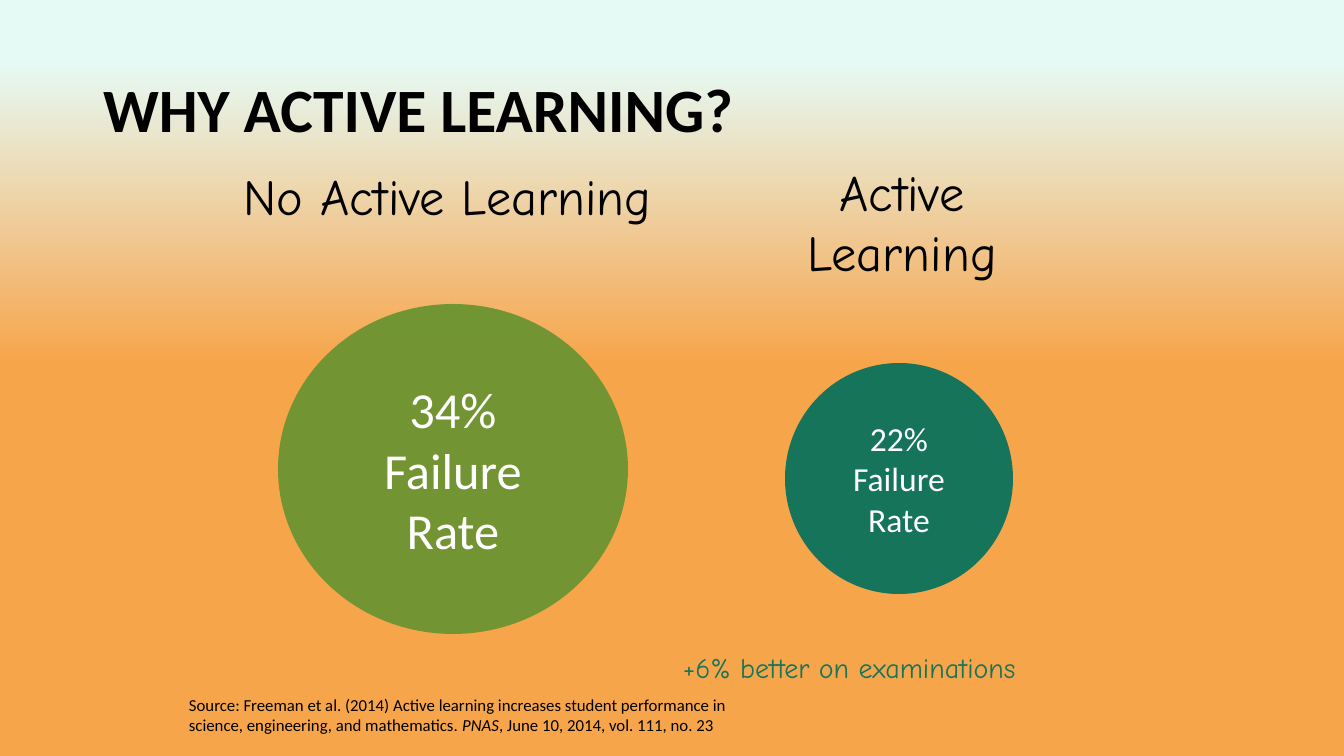
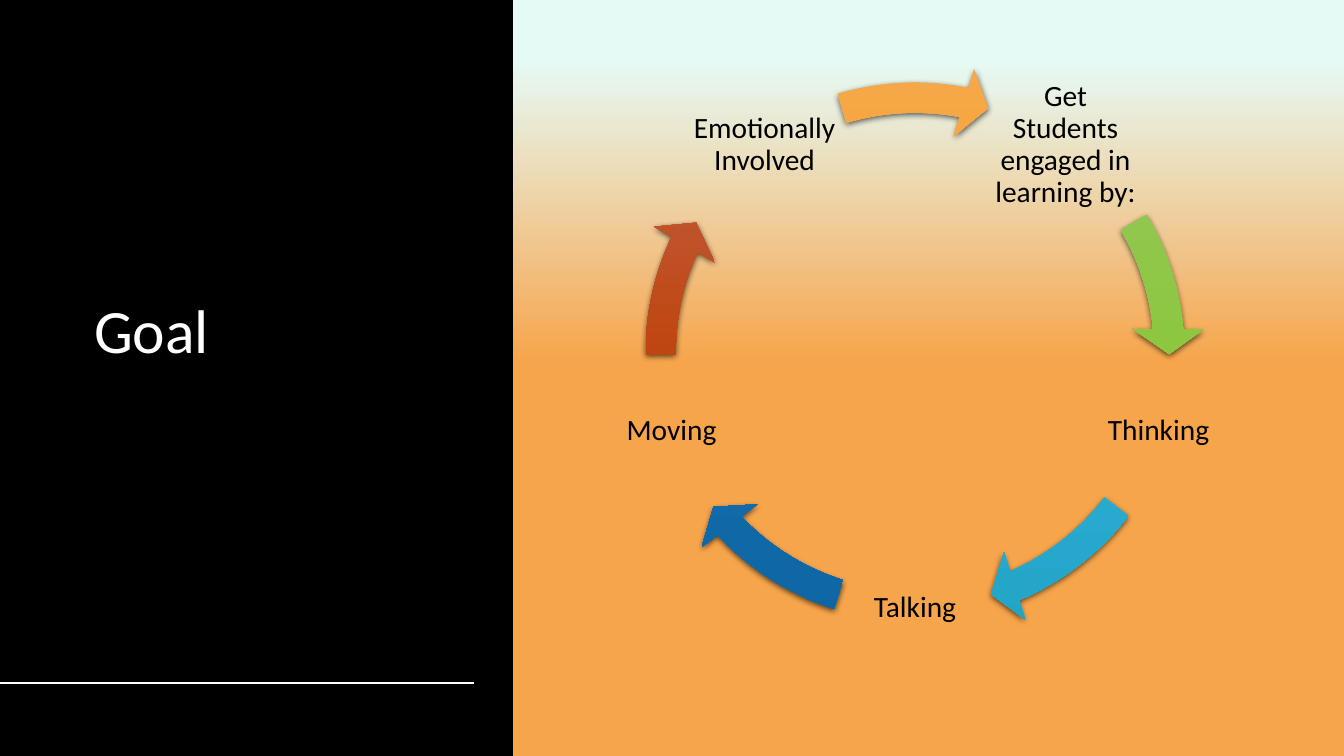
from dataclasses import dataclass
from math import cos, radians, sin

from lxml import etree
from pptx import Presentation
from pptx.dml.color import RGBColor
from pptx.enum.shapes import MSO_CONNECTOR, MSO_SHAPE
from pptx.enum.text import MSO_ANCHOR, MSO_AUTO_SIZE, PP_ALIGN
from pptx.oxml.ns import qn
from pptx.util import Emu, Pt

LEFT, CENTER = PP_ALIGN.LEFT, PP_ALIGN.CENTER
TOP, MIDDLE = MSO_ANCHOR.TOP, MSO_ANCHOR.MIDDLE
NO_FIT, GROW = MSO_AUTO_SIZE.NONE, MSO_AUTO_SIZE.SHAPE_TO_FIT_TEXT
ELLIPSE, RECTANGLE = MSO_SHAPE.OVAL, MSO_SHAPE.RECTANGLE
CIRCULAR_ARROW = MSO_SHAPE.CIRCULAR_ARROW
STRAIGHT = MSO_CONNECTOR.STRAIGHT
TITLE_ONLY = 5
EMU_PER_PX = 914400 / 100.8


@dataclass(frozen=True)
class Theme:
    """Colours, fonts and type sizes of the deck."""

    black: str = "000000"
    white: str = "FFFFFF"
    green: str = "699331"
    teal: str = "16745A"
    backdrop: tuple = ((8, "E6FAF5"), (48, "F7A54B"), (90, "F7A54B"))
    cycle_green: tuple = ((0, "98C862"), (50, "8CC73F"), (100, "7DB831"))
    cycle_cyan: tuple = ((0, "59B8D4"), (50, "2EB3D6"), (100, "21A4C6"))
    cycle_blue: tuple = ((0, "4E80B5"), (50, "1670B0"), (100, "0D65A3"))
    cycle_red: tuple = ((0, "C2634D"), (50, "BF4611"), (100, "B13B08"))
    cycle_orange: tuple = ((0, "F5A84E"), (50, "FC9F0E"), (100, "E58F07"))
    body_font: str = "Calibri"
    hand_font: str = "Comic Neue"
    title_size: int = 44
    heading_size: int = 36
    subheading_size: int = 24
    cycle_size: int = 21
    note_size: int = 20
    source_size: int = 12


THEME = Theme()


def px(length):
    """Turn pixels into EMU."""
    return Emu(round(length * EMU_PER_PX))


def add_color(parent, color, alpha=None):
    """Append a colour element, optionally with an opacity in percent."""
    node = etree.SubElement(parent, qn("a:srgbClr"), val=color)
    if alpha is not None:
        etree.SubElement(node, qn("a:alpha"), val=str(alpha * 1000))


def paint_gradient(fill, owner, stops):
    """Give a fill a downward gradient with the given stops."""
    fill.gradient()
    fill.gradient_angle = 270
    stop_list = owner.find(".//" + qn("a:gsLst"))
    for old_stop in list(stop_list):
        stop_list.remove(old_stop)
    for position, color in stops:
        stop = etree.SubElement(stop_list, qn("a:gs"), pos=str(position * 1000))
        add_color(stop, color)


def write(frame, text, *, size, color=THEME.black, font=THEME.body_font, bold=False,
          align=LEFT, anchor=TOP, fit=NO_FIT, spacing=None, inset=None):
    """Write one paragraph from a string or (text, italic) pairs."""
    frame.word_wrap = True
    frame.auto_size = fit
    frame.vertical_anchor = anchor
    if inset is not None:
        frame.margin_left = frame.margin_right = px(inset)
        frame.margin_top = frame.margin_bottom = px(inset)
    para = frame.paragraphs[0]
    para.alignment = align
    if spacing:
        para.line_spacing = spacing
    for words, italic in [(text, False)] if isinstance(text, str) else text:
        span = para.add_run()
        span.text = words
        span.font.name = font
        span.font.size = Pt(size)
        span.font.bold = bold
        span.font.italic = italic
        span.font.color.rgb = RGBColor.from_string(color)


class DeckBuilder:
    """Hold the deck, its style and the current page."""

    def __init__(self):
        """Start a deck with the shared backdrop."""
        self.deck = Presentation()
        self.deck.slide_width, self.deck.slide_height = px(1344), px(756)
        master = self.deck.slide_master
        paint_gradient(master.background.fill, master.element, THEME.backdrop)

    def new_page(self):
        """Open a page that has only a title."""
        layout = self.deck.slide_layouts[TITLE_ONLY]
        self.page = self.deck.slides.add_slide(layout)
        self.shapes = self.page.shapes

    def start_group(self):
        """Collect the elements that follow in a group."""
        self.shapes = self.page.shapes.add_group_shape().shapes

    def title(self, place, text, color=THEME.black, bold=False):
        """Fill the title placeholder and bring it to the front."""
        box = self.page.shapes.title
        box.left, box.top, box.width, box.height = map(px, place)
        box.element.getparent().append(box.element)
        write(box.text_frame, text, size=THEME.title_size, color=color, bold=bold,
              anchor=MIDDLE, spacing=0.9)

    def label(self, place, text, **text_format):
        """Add a text box."""
        box = self.shapes.add_textbox(*map(px, place))
        write(box.text_frame, text, **text_format)

    def shape(self, kind, place, fill, alpha=None):
        """Add a borderless shape with a plain or gradient fill."""
        shape = self.shapes.add_shape(kind, *map(px, place))
        shape.shadow.inherit = False
        shape.line.fill.background()
        if isinstance(fill, tuple):
            paint_gradient(shape.fill, shape.element, fill)
        else:
            shape.fill.solid()
            shape.fill.fore_color.rgb = RGBColor.from_string(fill)
        if alpha is not None:
            solid = shape.element.spPr.find(qn("a:solidFill"))
            solid.clear()
            add_color(solid, fill, alpha)
        return shape

    def disc(self, place, text, fill, size, alpha=None):
        """Add an ellipse with centred white text."""
        shape = self.shape(ELLIPSE, place, fill, alpha)
        write(shape.text_frame, text, size=size, color=THEME.white, align=CENTER,
              anchor=MIDDLE)

    def cycle_arrow(self, place, start, end, fill):
        """Add a shadowed arc arrow between two angles in degrees."""
        arrow = self.shape(CIRCULAR_ARROW, place, fill)
        per_degree = 0.6
        settings = (0.052, 5.6 * per_degree, end * per_degree, start * per_degree, 0.061)
        for index, value in enumerate(settings):
            arrow.adjustments[index] = value
        effects = arrow.element.spPr.find(qn("a:effectLst"))
        shadow = etree.SubElement(
            effects, qn("a:outerShdw"), blurRad=str(Pt(4.5)), dist=str(Pt(1.5)),
            dir="5400000", algn="ctr", rotWithShape="0")
        add_color(shadow, THEME.black, 63)

    def rule(self, start, end, color, width):
        """Add a straight line."""
        line = self.shapes.add_connector(STRAIGHT, *map(px, start + end))
        line.line.color.rgb = RGBColor.from_string(color)
        line.line.width = Pt(width)
        etree.SubElement(line.element.spPr, qn("a:effectLst"))


def build_failure_rates(builder):
    """Compare failure rates without and with active learning."""
    builder.new_page()
    builder.title((93, 40, 1159, 146), "WHY ACTIVE LEARNING?", bold=True)
    for place, text in (((172, 160, 551, 72), "No Active Learning"),
                        ((758, 156, 288, 132), "Active Learning")):
        builder.label(place, text, size=THEME.heading_size, font=THEME.hand_font,
                      align=CENTER, fit=GROW)
    builder.disc((278, 304, 350, 330), "34% Failure Rate", THEME.green,
                 THEME.heading_size, alpha=93)
    builder.disc((785, 363, 228, 231), "22% Failure Rate", THEME.teal,
                 THEME.subheading_size)
    builder.label((673, 646, 517, 44), "+6% better on examinations",
                  size=THEME.note_size, color=THEME.teal, font=THEME.hand_font, fit=GROW)
    source = (
        ("Source: Freeman et al. (2014) Active learning increases student performance in "
         "science, engineering, and mathematics. ", False),
        ("PNAS", True),
        (", June 10, 2014, vol. 111, no. 23", False),
    )
    builder.label((179, 690, 606, 50), source, size=THEME.source_size, fit=GROW)


def build_goal(builder):
    """Show the goal as a cycle of five steps."""
    builder.new_page()
    builder.shape(RECTANGLE, (0, 0, 513, 756), THEME.black)
    builder.title((84, 61, 393, 546), "Goal", color=THEME.white)
    builder.rule((0, 683), (474, 683), THEME.white, 2)
    builder.start_group()
    center_x, center_y, radius = 915, 352, 256
    label_side, ring_side = 154, 579
    ring = (center_x - ring_side / 2, center_y - ring_side / 2, ring_side, ring_side)
    steps = (
        ("Get Students engaged in learning by:", 329.43, 354.89, THEME.cycle_green),
        ("Thinking", 37.55, 66.92, THEME.cycle_cyan),
        ("Talking", 107.49, 136.85, THEME.cycle_blue),
        ("Moving", 179.51, 204.97, THEME.cycle_red),
        ("Emotionally Involved", 253.3, 281.1, THEME.cycle_orange),
    )
    for index, (text, start, end, fill) in enumerate(steps):
        angle = radians(-54 + index * 360 / len(steps))
        left = center_x + radius * cos(angle) - label_side / 2
        top = center_y + radius * sin(angle) - label_side / 2
        builder.label((left, top, label_side, label_side), text, size=THEME.cycle_size,
                      align=CENTER, anchor=MIDDLE, spacing=0.9, inset=3)
        builder.cycle_arrow(ring, start, end, fill)


def main():
    """Build and save the deck."""
    builder = DeckBuilder()
    build_failure_rates(builder)
    build_goal(builder)
    builder.deck.save("out.pptx")


if __name__ == "__main__":
    main()
